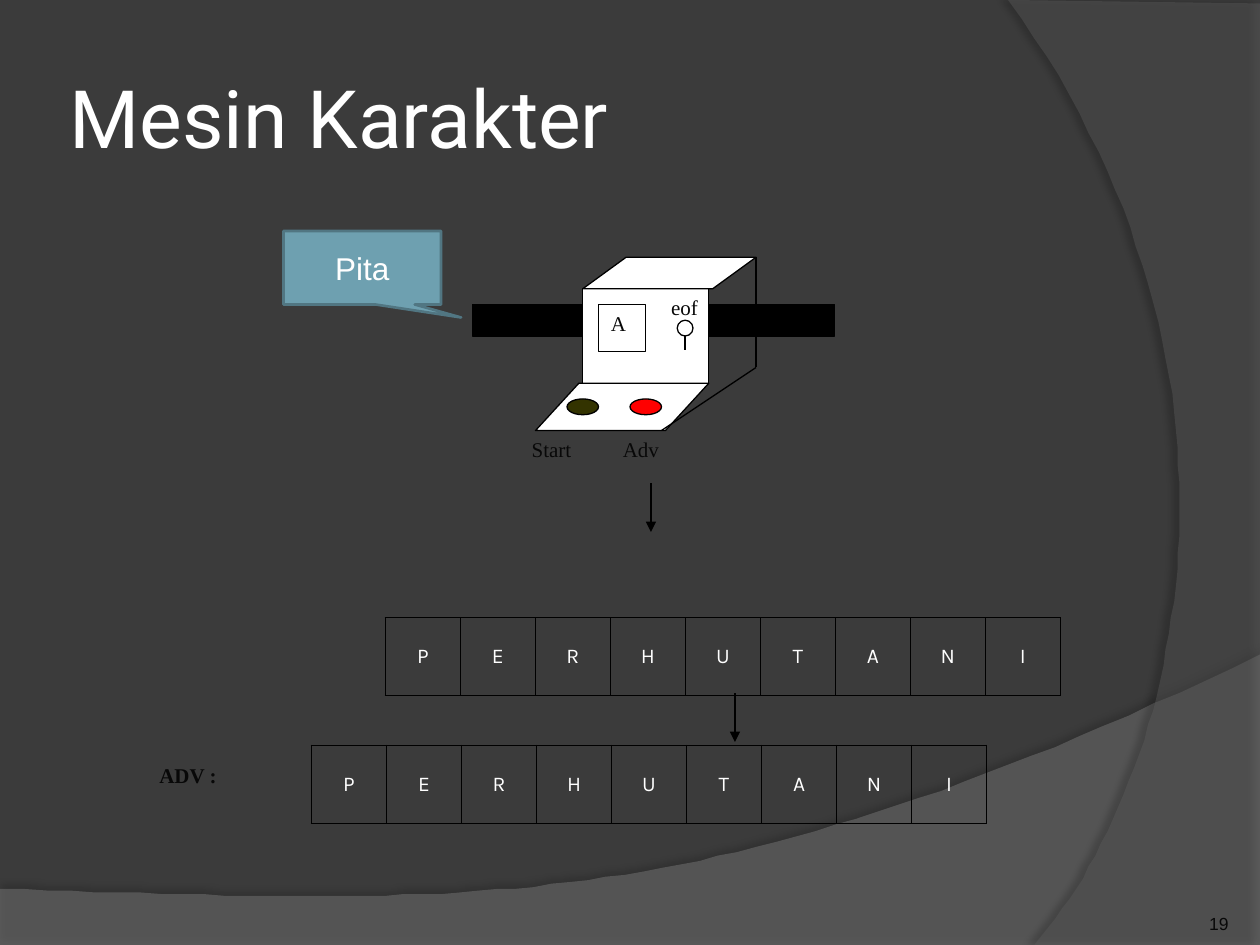
from dataclasses import dataclass
from typing import Optional

import lxml.etree
import pptx
import pptx.dml.color
import pptx.enum.dml
import pptx.enum.shapes
import pptx.enum.text
import pptx.oxml
import pptx.oxml.ns
import pptx.util

Pt = pptx.util.Pt
RGBColor = pptx.dml.color.RGBColor
Preset = pptx.enum.shapes.MSO_SHAPE
Align = pptx.enum.text.PP_ALIGN
Anchor = pptx.enum.text.MSO_ANCHOR
qn = pptx.oxml.ns.qn

BACKGROUND = RGBColor(0x3B, 0x3B, 0x3B)
LOWER_WAVE = RGBColor(0x7F, 0x7F, 0x7F)
RIGHT_WAVE = RGBColor(0x5E, 0x5E, 0x5E)
WHITE = RGBColor(0xFF, 0xFF, 0xFF)
BLACK = RGBColor(0, 0, 0)
INK = RGBColor(0x08, 0x08, 0x08)
OLIVE = RGBColor(0x33, 0x33, 0)
RED = RGBColor(0xFF, 0, 0)
TEAL = RGBColor(0x6E, 0xA0, 0xB0)
DARK_TEAL = RGBColor(0x51, 0x76, 0x82)
SERIF = "Times New Roman"
WORD = "PERHUTANI"
CELL_WIDTH, CELL_HEIGHT = 42.86, 44.5


@dataclass
class Part:
    """A preset shape of the machine."""
    preset: int
    left: float
    top: float
    width: float
    height: float
    fill: RGBColor = WHITE
    adjustments: tuple = ()
    line: RGBColor = BLACK
    line_width: float = 0.75


@dataclass
class Stroke:
    """A straight line, with or without an arrowhead."""
    start: tuple
    end: tuple
    arrow: bool = False


@dataclass
class Label:
    """A text box in one style."""
    text: str
    left: float
    top: float
    width: float
    height: float
    bold: bool = False


@dataclass
class Wave:
    """A background outline whose items are points or cubic curves."""
    start: tuple
    segments: tuple
    fill: RGBColor
    opacity: int
    shadow_opacity: int
    shadow_distance: float
    shadow_angle: int


PARTS = [
    Part(Preset.RECTANGLE, 333, 165, 72, 54),
    Part(Preset.PARALLELOGRAM, 333, 147, 99, 18, adjustments=(1.375,)),
    Part(Preset.PARALLELOGRAM, 306, 219, 99, 27, adjustments=(0.917,)),
    Part(Preset.RECTANGLE, 270, 174, 63, 18, BLACK),
    Part(Preset.RECTANGLE, 405, 174, 72, 18, BLACK),
    Part(Preset.OVAL, 324, 228, 18, 9, OLIVE),
    Part(Preset.OVAL, 360, 228, 18, 9, RED),
    Part(Preset.OVAL, 387, 183, 9, 9),
]
WINDOW = Part(Preset.RECTANGLE, 342, 174, 27, 27)
CALLOUT = Part(Preset.RECTANGULAR_CALLOUT, 162, 132, 90, 42, TEAL,
               (0.628, 0.677), DARK_TEAL, 1.5)
STROKES = [
    Stroke((378, 246), (432, 210)),
    Stroke((432, 147), (432, 210)),
    Stroke((391.5, 192), (391.5, 200)),
    Stroke((372, 276), (372, 304), True),
    Stroke((420, 396), (420, 424), True),
]
LABELS = [
    Label("Start", 296.8, 246, 50, 27),
    Label("Adv", 348.8, 246, 56, 27),
    Label("eof", 376.5, 165, 36, 18),
    Label("ADV :", 84, 432, 54, 27, True),
]
WAVES = [
    Wave((0, 507.6), ((0, 540), (720, 540), (720, 374.4),
                      ((402.5, 524.9), (281.5, 517.7), (0, 507.6))),
         LOWER_WAVE, 45, 35, 3.5, 270),
    Wave((720, 1.5), ((720, 540), (591, 540),
                      ((673.2, 445.7), (733, 216), (576, 0))),
         RIGHT_WAVE, 40, 45, 4, 180),
]


def style_text(shape, text: str, size: float, font: str, color: RGBColor,
               align: Optional[int] = Align.LEFT, bold: bool = False) -> None:
    """Set and format the single paragraph of a shape or cell."""
    shape.text_frame.text = text
    paragraph = shape.text_frame.paragraphs[0]
    paragraph.alignment = align
    run_font = paragraph.runs[0].font
    run_font.size, run_font.name, run_font.bold = Pt(size), font, bold
    run_font.color.rgb = color


def curve_points(start: tuple, controls: tuple, steps: int = 60) -> list:
    """Return points along a cubic curve."""
    points = []
    for step in range(1, steps + 1):
        t = step / steps
        weights = ((1 - t) ** 3, 3 * t * (1 - t) ** 2, 3 * t * t * (1 - t), t ** 3)
        points.append(tuple(sum(weight * point[axis] for weight, point
                                in zip(weights, (start, *controls))) for axis in (0, 1)))
    return points


def add_wave(slide, wave: Wave) -> None:
    """Draw a translucent background wave with a soft shadow."""
    points = [wave.start]
    for segment in wave.segments:
        is_curve = isinstance(segment[0], tuple)
        points += curve_points(points[-1], segment) if is_curve else [segment]
    builder = slide.shapes.build_freeform(*points[0], scale=Pt(1))
    builder.add_line_segments(points[1:], close=True)
    shape = builder.convert_to_shape()
    shape.fill.solid()
    shape.fill.fore_color.rgb = wave.fill
    shape.line.fill.background()
    shape.shadow.inherit = False
    properties = shape._element.spPr
    color = properties.find(qn("a:solidFill"))[0]
    lxml.etree.SubElement(color, qn("a:alpha"), val=str(wave.opacity * 1000))
    shadow = lxml.etree.SubElement(
        properties.find(qn("a:effectLst")), qn("a:outerShdw"), blurRad=str(Pt(4)),
        dist=str(Pt(wave.shadow_distance)), dir=str(wave.shadow_angle * 60000),
        algn="ctr", rotWithShape="0")
    shadow_color = lxml.etree.SubElement(shadow, qn("a:srgbClr"), val=str(BLACK))
    lxml.etree.SubElement(shadow_color, qn("a:alpha"), val=str(wave.shadow_opacity * 1000))


def add_part(slide, part: Part):
    """Draw a preset shape and return it."""
    shape = slide.shapes.add_shape(part.preset, Pt(part.left), Pt(part.top),
                                   Pt(part.width), Pt(part.height))
    for index, value in enumerate(part.adjustments):
        shape.adjustments[index] = value
    shape.shadow.inherit = False
    shape.fill.solid()
    shape.fill.fore_color.rgb = part.fill
    shape.line.color.rgb = part.line
    shape.line.width = Pt(part.line_width)
    return shape


def add_stroke(slide, stroke: Stroke) -> None:
    """Draw a thin black line."""
    connector = slide.shapes.add_connector(
        pptx.enum.shapes.MSO_CONNECTOR.STRAIGHT,
        *(Pt(value) for value in (*stroke.start, *stroke.end)))
    connector.line.color.rgb = BLACK
    connector.line.width = Pt(0.75)
    if stroke.arrow:
        lxml.etree.SubElement(connector.line._get_or_add_ln(), qn("a:tailEnd"), type="triangle")
    lxml.etree.SubElement(connector._element.spPr, qn("a:effectLst"))


def add_label(slide, label: Label):
    """Add a serif text box and return it."""
    box = slide.shapes.add_textbox(Pt(label.left), Pt(label.top),
                                   Pt(label.width), Pt(label.height))
    box.text_frame.word_wrap = True
    style_text(box, label.text, 12, SERIF, INK, bold=label.bold)
    return box


def add_tape(slide, left: float, top: float) -> None:
    """Add a one-row table with one letter in each cell."""
    frame = slide.shapes.add_table(1, len(WORD), Pt(left), Pt(top),
                                   Pt(CELL_WIDTH * len(WORD)), Pt(CELL_HEIGHT))
    table = frame.table
    table.first_row = table.horz_banding = False
    for column, cell, letter in zip(table.columns, table.rows[0].cells, WORD):
        column.width = Pt(CELL_WIDTH)
        style_text(cell, letter, 12, "Karla", WHITE, Align.CENTER)
        cell.vertical_anchor = Anchor.MIDDLE
        cell.fill.background()
        properties = cell._tc.get_or_add_tcPr()
        for index, side in enumerate("LRTB"):
            border = lxml.etree.Element(qn(f"a:ln{side}"), w=str(Pt(1)))
            fill = lxml.etree.SubElement(border, qn("a:solidFill"))
            lxml.etree.SubElement(fill, qn("a:srgbClr"), val=str(BLACK))
            properties.insert(index, border)


def main() -> None:
    """Build and save the slide."""
    presentation = pptx.Presentation()
    presentation.slide_width, presentation.slide_height = Pt(720), Pt(540)
    slide = presentation.slides.add_slide(presentation.slide_layouts[5])
    slide.background.fill.solid()
    slide.background.fill.fore_color.rgb = BACKGROUND
    for wave in WAVES:
        add_wave(slide, wave)

    title = slide.shapes.title
    title.left, title.top, title.width, title.height = Pt(36), Pt(21.6), Pt(588), Pt(90)
    style_text(title, "Mesin Karakter", 46, "Roboto", WHITE)
    frame = title.text_frame
    frame.auto_size = pptx.enum.text.MSO_AUTO_SIZE.NONE
    frame.vertical_anchor = Anchor.MIDDLE
    frame.margin_left = frame.margin_right = frame.margin_top = frame.margin_bottom = Pt(3.6)

    add_tape(slide, 220.2, 353)
    for part in PARTS:
        add_part(slide, part)
    window = add_part(slide, WINDOW)
    style_text(window, "A", 12, SERIF, INK)
    window.text_frame.vertical_anchor = Anchor.TOP
    for stroke in STROKES:
        add_stroke(slide, stroke)
    for label in LABELS:
        add_label(slide, label)
    style_text(add_part(slide, CALLOUT), "Pita", 18, "Arial", WHITE, Align.CENTER)
    add_tape(slide, 178, 426)

    number = add_label(slide, Label("19", 642, 505.5, 60, 28.5))
    style_text(number, "19", 10, "Arial", INK, Align.RIGHT)
    frame = number.text_frame
    frame.vertical_anchor = Anchor.BOTTOM
    frame.margin_left = frame.margin_right = frame.margin_top = frame.margin_bottom = 0
    presentation.save("out.pptx")


main()
